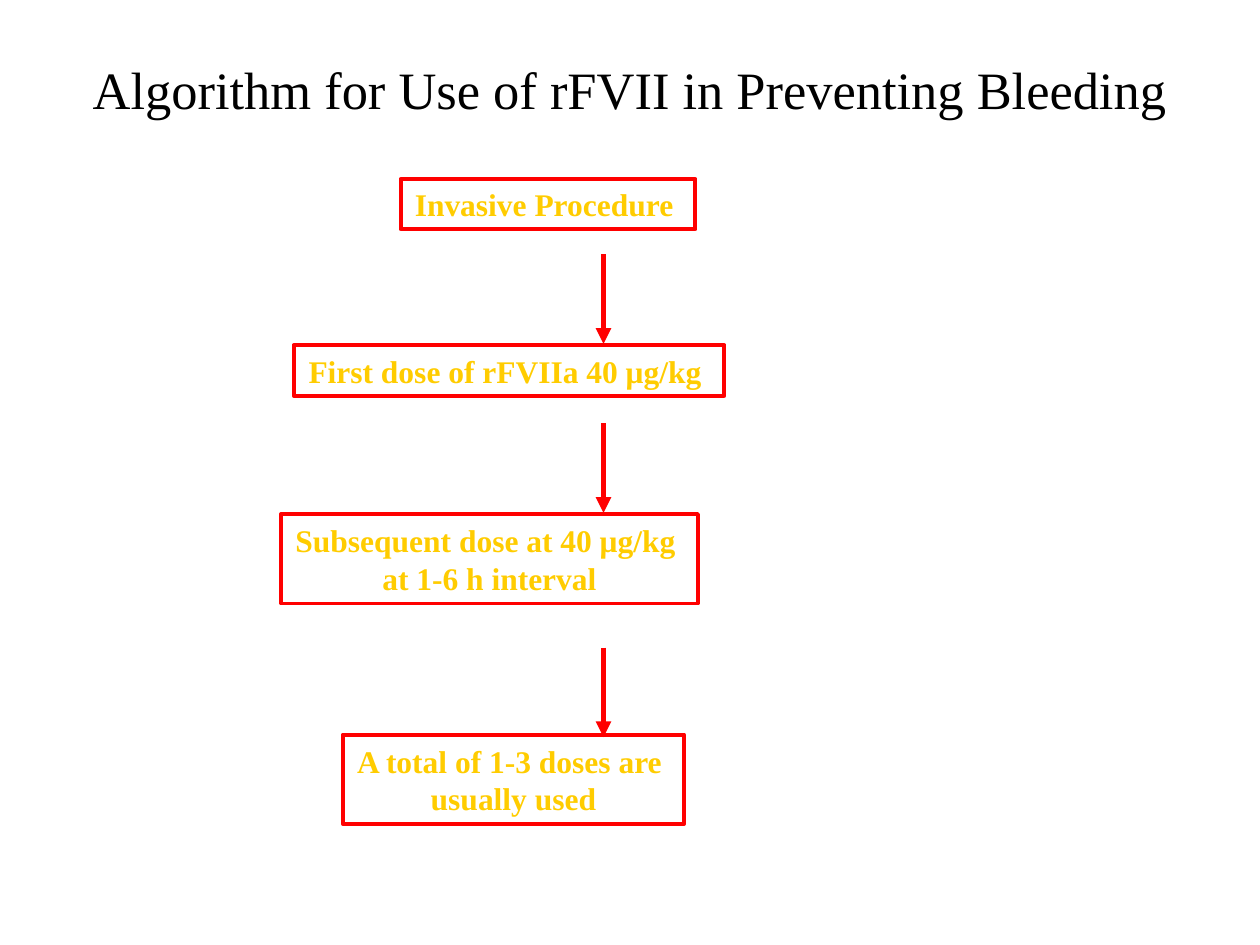
import pptx
import pptx.dml.color
import pptx.enum.shapes
import pptx.enum.text
import pptx.oxml
import pptx.oxml.ns
import pptx.util

Inches = pptx.util.Inches
Pt = pptx.util.Pt
COLORS = {"title": "000000", "step": "FFCC00", "line": "FF0000"}


def rgb(name):
    return pptx.dml.color.RGBColor.from_string(COLORS[name])


def write_centered(frame, text, size, color, bold):
    frame.text = text
    frame.vertical_anchor = pptx.enum.text.MSO_ANCHOR.MIDDLE
    for paragraph in frame.paragraphs:
        paragraph.alignment = pptx.enum.text.PP_ALIGN.CENTER
        for run in paragraph.runs:
            run.font.name = "Times New Roman"
            run.font.size = Pt(size)
            run.font.bold = bold
            run.font.color.rgb = rgb(color)


presentation = pptx.Presentation()
presentation.slide_width = Inches(10)
presentation.slide_height = Inches(7.5)
slide = presentation.slides.add_slide(presentation.slide_layouts[6])

title = slide.shapes.add_textbox(Inches(0.25), Inches(0.32), Inches(9.5), Inches(0.77))
title.text_frame.word_wrap = True
write_centered(title.text_frame, "Algorithm for Use of rFVII in Preventing Bleeding",
               30, "title", False)

# Left, top, width, height and wording of each step
steps = [
    (3.18, 1.42, 2.34, 0.4, "Invasive Procedure "),
    (2.33, 2.74, 3.42, 0.4, "First dose of rFVIIa 40 μg/kg "),
    (2.23, 4.08, 3.31, 0.71, "Subsequent dose at 40 μg/kg \nat 1-6 h interval"),
    (2.72, 5.83, 2.71, 0.71, "A total of 1-3 doses are \nusually used"),
]
for left, top, width, height, wording in steps:
    step = slide.shapes.add_shape(
        pptx.enum.shapes.MSO_SHAPE.RECTANGLE,
        Inches(left), Inches(top), Inches(width), Inches(height))
    step.shadow.inherit = False
    step.fill.background()
    step.line.color.rgb = rgb("line")
    step.line.width = Pt(2.25)
    step.text_frame.word_wrap = False
    step.text_frame.auto_size = pptx.enum.text.MSO_AUTO_SIZE.SHAPE_TO_FIT_TEXT
    write_centered(step.text_frame, wording, 18, "step", True)

ARROW_X, ARROW_LENGTH = 4.79, 0.71
for start in (2.02, 3.36, 5.14):
    arrow = slide.shapes.add_connector(
        pptx.enum.shapes.MSO_CONNECTOR.STRAIGHT,
        Inches(ARROW_X), Inches(start), Inches(ARROW_X), Inches(start + ARROW_LENGTH))
    arrow.line.color.rgb = rgb("line")
    arrow.line.width = Pt(3)
    head = pptx.oxml.parse_xml(
        f'<a:tailEnd {pptx.oxml.ns.nsdecls("a")} type="triangle"/>')
    arrow.line._get_or_add_ln().append(head)
    no_shadow = pptx.oxml.parse_xml(f'<a:effectLst {pptx.oxml.ns.nsdecls("a")}/>')
    arrow._element.spPr.append(no_shadow)

presentation.save("out.pptx")
